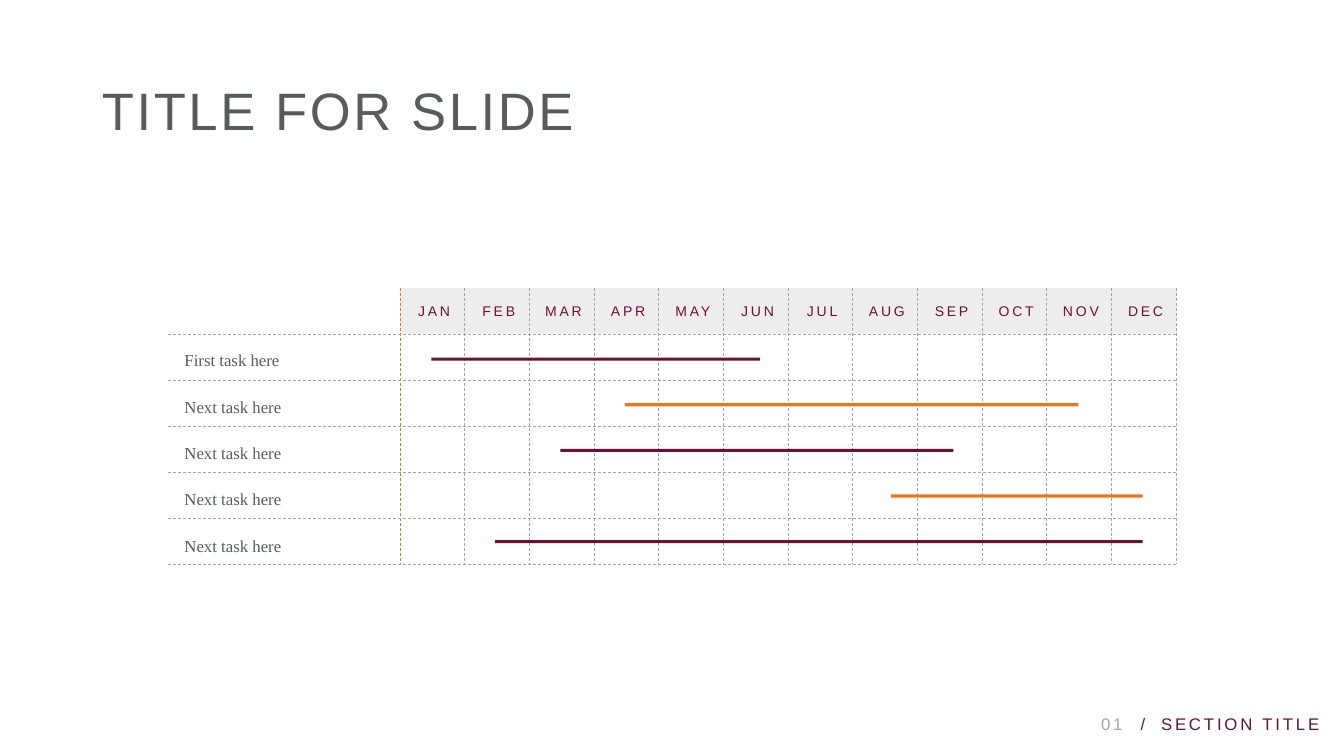
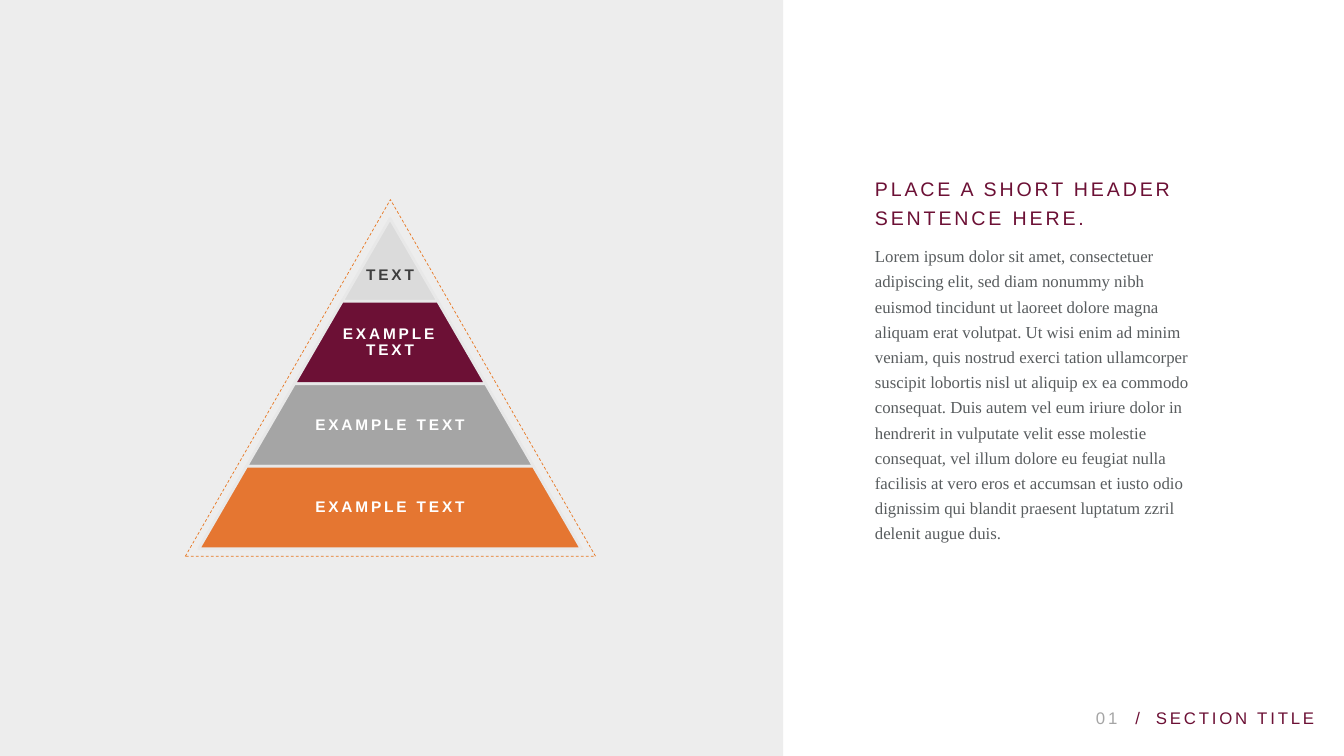
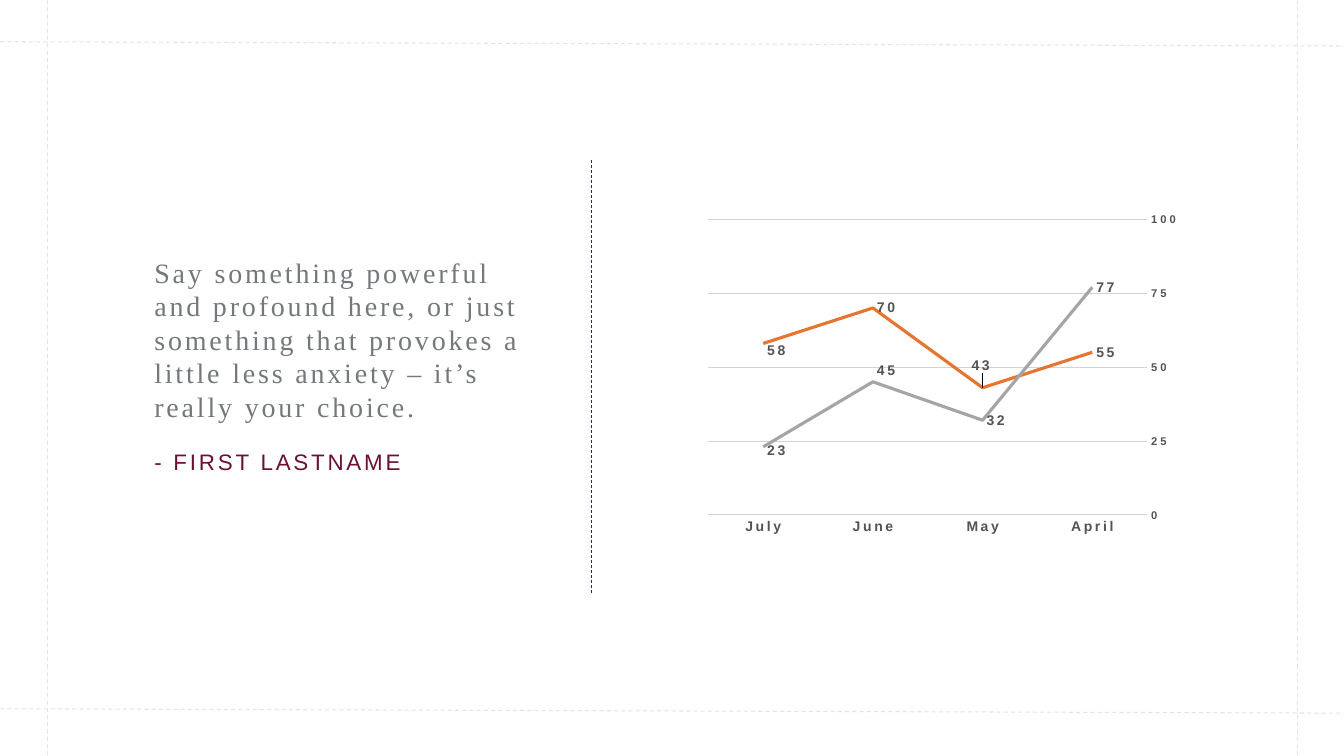
from lxml import etree
from pptx import Presentation
from pptx.chart.data import CategoryChartData
from pptx.dml.color import RGBColor
from pptx.enum.chart import (XL_AXIS_CROSSES, XL_CHART_TYPE, XL_LABEL_POSITION,
                             XL_MARKER_STYLE, XL_TICK_MARK)
from pptx.enum.dml import MSO_LINE
from pptx.enum.shapes import MSO_CONNECTOR, MSO_SHAPE
from pptx.enum.text import MSO_ANCHOR, PP_ALIGN
from pptx.oxml.ns import qn
from pptx.util import Cm, Pt

RECT, TRAPEZOID, TRIANGLE = MSO_SHAPE.RECTANGLE, MSO_SHAPE.TRAPEZOID, MSO_SHAPE.ISOSCELES_TRIANGLE
TOP, MIDDLE, BOTTOM = MSO_ANCHOR.TOP, MSO_ANCHOR.MIDDLE, MSO_ANCHOR.BOTTOM
LEFT, CENTER, RIGHT = PP_ALIGN.LEFT, PP_ALIGN.CENTER, PP_ALIGN.RIGHT
DASH = MSO_LINE.DASH
STRAIGHT = MSO_CONNECTOR.STRAIGHT
NO_TICK = XL_TICK_MARK.NONE
LABEL_RIGHT = XL_LABEL_POSITION.RIGHT

SANS, SERIF = "Arial", "Times New Roman"
MAROON, ORANGE, RUST = "6C1035", "E87722", "E57631"
SLATE, GRAY, PALE, WHITE = "585C5E", "A5A5A5", "EDEDED", "FFFFFF"
LABEL_GRAY, GUIDE = "535353", "E5E1EF"
WIDTH, HEIGHT = 33.87, 19.05

MONTHS = "JAN FEB MAR APR MAY JUN JUL AUG SEP OCT NOV DEC".split()
TASKS = [
    ("First task here", 10.87, 8.28, MAROON),
    ("Next task here", 15.75, 11.43, ORANGE),
    ("Next task here", 14.12, 9.91, MAROON),
    ("Next task here", 22.45, 6.35, ORANGE),
    ("Next task here", 12.47, 16.33, MAROON),
]
LEVELS = [
    ("TEXT", "DBDBDB", "3E3E3E"),
    ("EXAMPLE TEXT", MAROON, WHITE),
    ("EXAMPLE TEXT", GRAY, WHITE),
    ("EXAMPLE TEXT", RUST, WHITE),
]
SERIES = [
    ("Series 1", (55, 43, 70, 58), RUST, {1: (-0.025, -0.037), 3: (0, 0.012)}),
    ("Series 2", (77, 32, 45, 23), GRAY, {2: (0, -0.019), 3: (0, 0.007)}),
]
BODY = (
    "Lorem ipsum dolor sit amet, consectetuer adipiscing elit, sed diam nonummy nibh "
    "euismod tincidunt ut laoreet dolore magna aliquam erat volutpat. Ut wisi enim ad "
    "minim veniam, quis nostrud exerci tation ullamcorper suscipit lobortis nisl ut "
    "aliquip ex ea commodo consequat. Duis autem vel eum iriure dolor in hendrerit in "
    "vulputate velit esse molestie consequat, vel illum dolore eu feugiat nulla facilisis "
    "at vero eros et accumsan et iusto odio dignissim qui blandit praesent luptatum zzril "
    "delenit augue duis."
)
QUOTE = ("Say something powerful and profound here, or just something that provokes "
         "a little less anxiety – it’s really your choice.")


def rgb(color):
    return RGBColor.from_string(color)


def format_font(font, size, color, name=SANS, bold=False):
    font.size, font.name, font.bold = Pt(size), name, bold
    font.color.rgb = rgb(color)


def format_line(line, color, width, dash=None):
    line.color.rgb = rgb(color)
    line.width = Pt(width)
    if dash:
        line.dash_style = dash


def add_paragraph(p, text, size=12, color=MAROON, font=SANS, bold=False, spc=2,
                  align=LEFT, spacing=None, after=None):
    p.alignment = align
    if spacing:
        p.line_spacing = spacing
    if after:
        p.space_after = Pt(after)
    r = p.add_run()
    r.text = text
    format_font(r.font, size, color, font, bold)
    r._r.get_or_add_rPr().set("spc", str(round(spc * 100)))


def add_text(s, text, left, top, width, height, anchor=TOP, inset=0.13, **fmt):
    sp = s.shapes.add_textbox(Cm(left), Cm(top), Cm(width), Cm(height))
    tf = sp.text_frame
    tf.word_wrap = True
    tf.vertical_anchor = anchor
    tf.margin_left = tf.margin_right = tf.margin_top = tf.margin_bottom = Cm(inset)
    add_paragraph(tf.paragraphs[0], text, **fmt)
    return tf


def add_shape(s, kind, left, top, width, height, fill=None):
    sp = s.shapes.add_shape(kind, Cm(left), Cm(top), Cm(width), Cm(height))
    sp.shadow.inherit = False
    if fill:
        sp.fill.solid()
        sp.fill.fore_color.rgb = rgb(fill)
    else:
        sp.fill.background()
    sp.line.fill.background()
    return sp


def add_dashed_line(s, x1, y1, x2, y2, color=GRAY, width=0.5):
    line = s.shapes.add_connector(STRAIGHT, Cm(x1), Cm(y1), Cm(x2), Cm(y2))
    format_line(line.line, color, width, DASH)
    etree.SubElement(line._element.spPr, qn("a:effectLst"))


def add_footer(s, left, top):
    fmt = dict(anchor=BOTTOM, spacing=0.9)
    add_text(s, "SECTION TITLE", left, top, WIDTH - left, 1.14, **fmt)
    add_text(s, "01", left - 12.8, top, 12.09, 1.14, color=GRAY, align=RIGHT, **fmt)
    add_text(s, "/", left - 0.83, top, 0.69, 1.14, align=RIGHT, **fmt)


def make_layout(x, y, **extra):
    layout = etree.Element(qn("c:layout"))
    manual = etree.SubElement(layout, qn("c:manualLayout"))
    for tag, value in {**extra, "x": x, "y": y}.items():
        etree.SubElement(manual, qn(f"c:{tag}")).set("val", str(value))
    return layout


def set_plot_area(chart, x, y, width, height):
    area = chart.element.find(".//" + qn("c:plotArea"))
    for old in area.findall(qn("c:layout")):
        area.remove(old)
    layout = make_layout(x, y, layoutTarget="inner", xMode="edge", yMode="edge")
    for tag, value in (("w", width), ("h", height)):
        etree.SubElement(layout[0], qn(f"c:{tag}")).set("val", str(value))
    area.insert(0, layout)


def format_axis(axis, size):
    axis.major_tick_mark = axis.minor_tick_mark = NO_TICK
    axis.format.line.fill.background()
    format_font(axis.tick_labels.font, size, LABEL_GRAY, bold=True)


def format_series(series, color, shifts):
    series.smooth = False
    series.marker.style = XL_MARKER_STYLE.NONE
    format_line(series.format.line, color, 2.25)
    labels = series.data_labels
    labels.show_value = True
    labels.position = LABEL_RIGHT
    format_font(labels.font, 10, LABEL_GRAY, bold=True)
    for index in shifts:
        label = series.points[index].data_label
        label.position = LABEL_RIGHT
        format_font(label.font, 10, LABEL_GRAY, bold=True)
    for item in series._element.iter(qn("c:dLbl")):
        index = int(item.find(qn("c:idx")).get("val"))
        item.insert(1, make_layout(*shifts[index]))


def add_line_chart(s, left, top, width, height):
    data = CategoryChartData()
    data.categories = ["April", "May", "June", "July"]
    for name, values, _, _ in SERIES:
        data.add_series(name, values)
    chart = s.shapes.add_chart(XL_CHART_TYPE.LINE, Cm(left), Cm(top), Cm(width),
                               Cm(height), data).chart
    chart.has_legend = chart.has_title = False
    format_font(chart.font, 10, MAROON)
    chart.plots[0].vary_by_categories = False
    months, values = chart.category_axis, chart.value_axis
    format_axis(months, 10)
    months.reverse_order = True
    months.crosses = XL_AXIS_CROSSES.MAXIMUM
    format_axis(values, 8)
    values.minimum_scale, values.maximum_scale, values.major_unit = 0, 100, 25
    values.has_major_gridlines = True
    format_line(values.major_gridlines.format.line, "D3D3D3", 0.5)
    for series, (_, _, color, shifts) in zip(chart.plots[0].series, SERIES):
        format_series(series, color, shifts)
    set_plot_area(chart, 0.222, 0.238, 0.728, 0.504)
    for props in chart.element.iter(qn("a:defRPr")):
        props.set("spc", "200")


def build_schedule(s):
    left, top, bottom, col, row = 10.08, 7.26, 14.22, 1.63, 1.16
    right = left + col * len(MONTHS)
    add_text(s, "TITLE FOR SLIDE", 2.44, 1.85, 15.85, 1.85, anchor=BOTTOM,
             size=37.6, color=SLATE, spc=1.9, spacing=0.9)
    add_shape(s, RECT, left, top, right - left, 1.15, PALE)
    for i in range(len(MONTHS) + 1):
        x = left + col * i
        add_dashed_line(s, x, top, x, bottom, GRAY if i else ORANGE)
    for i in range(len(TASKS) + 1):
        y = bottom - row * i
        add_dashed_line(s, 4.24, y, right, y)
    for i, month in enumerate(MONTHS):
        add_text(s, month, left + col * i + 0.11, 7.49, 1.5, 0.69, size=10, align=CENTER)
    for i, (task, start, length, color) in enumerate(TASKS):
        add_text(s, task, 4.52, 8.56 + 1.17 * i, 4.32, 0.89, color=SLATE, font=SERIF,
                 spc=0, spacing=Pt(18))
        add_shape(s, RECT, start, 9.01 + 1.15 * i, length, 0.08, color)
    add_footer(s, 29.13, 17.48)


def build_pyramid(s):
    center, top, step, height = 9.83, 5.51, 2.41, 2.08
    add_shape(s, RECT, 0, 0, 19.74, HEIGHT, PALE)
    for i, (text, fill, color) in enumerate(LEVELS):
        width, y = step * (i + 1), top + height * i
        sp = add_shape(s, TRAPEZOID, center - width / 2, y, width, height, fill)
        sp.adjustments[0] = 0.58
        format_line(sp.line, "E8E8E8", 2)
        tip = i == 0
        text_width = width if tip else width * 0.65
        add_text(s, text, center - text_width / 2, y, text_width, 1.7 if tip else height,
                 anchor=BOTTOM if tip else MIDDLE, inset=0.05, size=11, color=color,
                 bold=True, align=CENTER, spacing=0.9)
    outline = add_shape(s, TRIANGLE, 4.67, 5.03, 10.34, 8.99)
    format_line(outline.line, ORANGE, 0.5, DASH)
    add_text(s, "PLACE A SHORT HEADER SENTENCE HERE.", 21.92, 4.17, 10.87, 1.75,
             size=14, spacing=Pt(21))
    add_text(s, BODY, 21.92, 5.94, 8.18, 9.25, color=SLATE, font=SERIF, spc=0,
             spacing=Pt(18))
    add_footer(s, 29, 17.35)


def build_quote(s):
    for x in (1.19, 32.69):
        add_dashed_line(s, x, 0, x, HEIGHT, GUIDE, 0.75)
    for y in (1.05, 17.86):
        add_dashed_line(s, 0, y, WIDTH, y + 0.11, GUIDE, 0.75)
    tf = add_text(s, QUOTE, 3.76, 6.3, 10.01, 5.87, size=20, color="75787B", font=SERIF,
                  after=18)
    add_paragraph(tf.add_paragraph(), "- FIRST LASTNAME", size=16)
    add_line_chart(s, 14.48, 2.01, 15.19, 14.78)
    add_dashed_line(s, 14.91, 4.04, 14.91, 14.96, MAROON)


def main():
    prs = Presentation()
    prs.slide_width, prs.slide_height = Cm(WIDTH), Cm(HEIGHT)
    for build in (build_schedule, build_pyramid, build_quote):
        build(prs.slides.add_slide(prs.slide_layouts[6]))
    prs.save("out.pptx")


if __name__ == "__main__":
    main()
